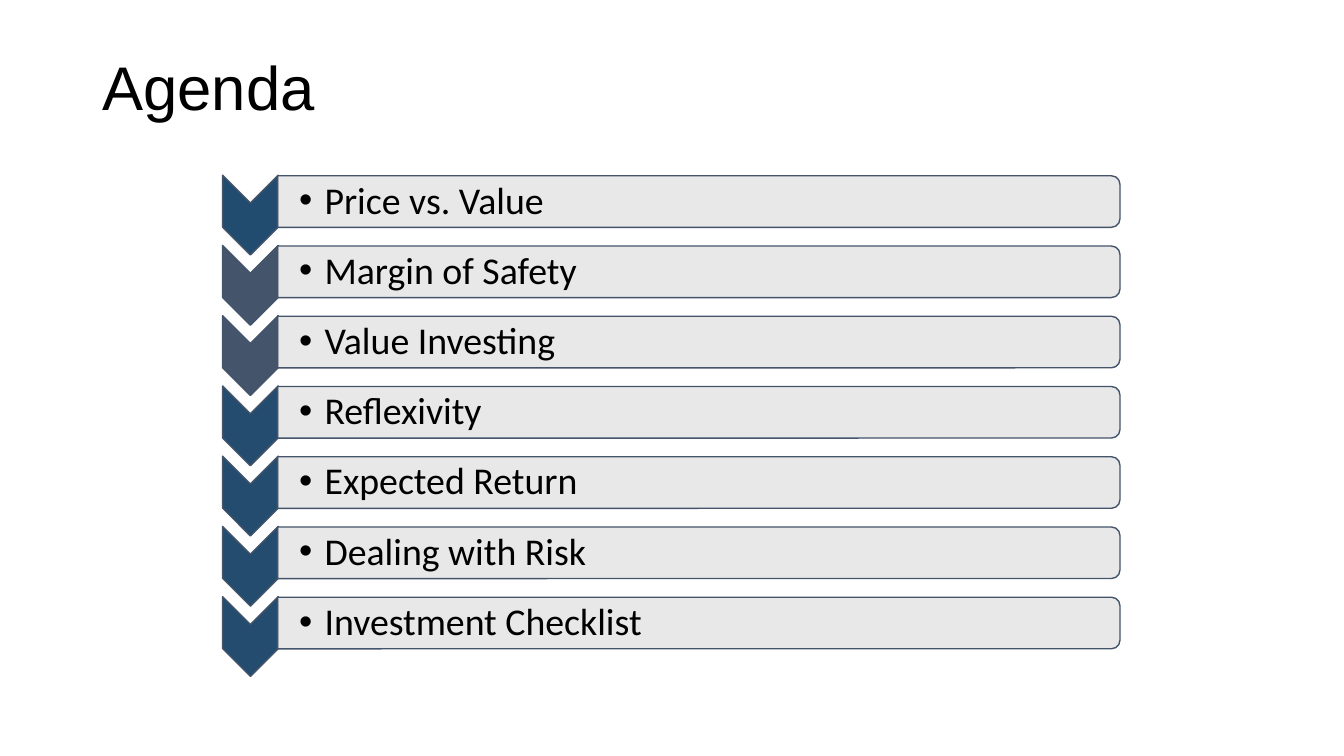
import pptx
import pptx.util
import pptx.dml.color
import pptx.enum.shapes
import pptx.enum.text
import pptx.oxml.ns
from lxml import etree

Cm, Pt = pptx.util.Cm, pptx.util.Pt
RGBColor = pptx.dml.color.RGBColor
SHAPE = pptx.enum.shapes.MSO_SHAPE
qn = pptx.oxml.ns.qn

# Content
BLUE = RGBColor(0x24, 0x4C, 0x6F)
SLATE = RGBColor(0x44, 0x54, 0x6A)
GREY = RGBColor(0xE7, 0xE6, 0xE6)
BLACK = RGBColor(0, 0, 0)

TITLE = "Agenda"
TOPICS = [
    ("Price vs. Value", RGBColor(0x22, 0x4C, 0x6F)),
    ("Margin of Safety", SLATE),
    ("Value Investing", SLATE),
    ("Reflexivity", BLUE),
    ("Expected Return", BLUE),
    ("Dealing with Risk", BLUE),
    ("Investment Checklist", BLUE),
]

# Layout in centimetres
ROW_PITCH = 1.77
BAR_CENTER = (17.61, 5.08)
BAR_SIZE = (1.3, 21.23)
CHEVRON_CENTER = (6.31, 5.42)
CHEVRON_SIZE = (2.01, 1.4)
LABEL_BOX = (7.01, 4.5, 21.16, 1.17)
TITLE_BOX = (2.33, 1.01, 29.21, 2.55)


def add_turned_shape(page, kind, center, size, drop, adjustments, fill):
    """Place a shape by its centre and turn it a quarter clockwise."""
    left = center[0] - size[0] / 2
    top = center[1] + drop - size[1] / 2
    shape = page.shapes.add_shape(kind, Cm(left), Cm(top), Cm(size[0]), Cm(size[1]))
    shape.rotation = 90
    for index, value in enumerate(adjustments):
        shape.adjustments[index] = value
    shape.shadow.inherit = False
    shape.fill.solid()
    shape.fill.fore_color.rgb = fill
    shape.line.color.rgb = SLATE
    shape.line.width = Pt(1)
    return shape


def add_text(page, area, insets, text, font_name, size, bullet=False):
    box = page.shapes.add_textbox(*[Cm(length) for length in area])
    frame = box.text_frame
    frame.word_wrap = True
    frame.vertical_anchor = pptx.enum.text.MSO_ANCHOR.MIDDLE
    frame.margin_left, frame.margin_top, frame.margin_right, frame.margin_bottom = [
        Cm(inset) for inset in insets]
    para = frame.paragraphs[0]
    para.text = text
    para.line_spacing = 0.9
    if bullet:
        add_bullet(para)
    para.font.name = font_name
    para.font.size = Pt(size)
    para.font.color.rgb = BLACK


def add_bullet(para):
    props = para._p.get_or_add_pPr()
    props.set("marL", str(Cm(0.64)))
    props.set("indent", str(Cm(-0.64)))
    color = etree.SubElement(props, qn("a:buClr"))
    etree.SubElement(color, qn("a:srgbClr"), val=str(BLACK))
    etree.SubElement(props, qn("a:buFont"), typeface="Arial")
    etree.SubElement(props, qn("a:buChar"), char="•")


def set_opacity(shape, percent):
    color = shape._element.spPr.find(qn("a:solidFill")).find(qn("a:srgbClr"))
    etree.SubElement(color, qn("a:alpha"), val=str(percent * 1000))


deck = pptx.Presentation()
deck.slide_width, deck.slide_height = Cm(33.87), Cm(19.05)
page = deck.slides.add_slide(deck.slide_layouts[6])

# Agenda rows: chevron, bar and label
for row, (topic, color) in enumerate(TOPICS):
    drop = row * ROW_PITCH
    add_turned_shape(page, SHAPE.CHEVRON, CHEVRON_CENTER, CHEVRON_SIZE, drop, [0.5], color)
    bar = add_turned_shape(page, SHAPE.ROUND_2_SAME_RECTANGLE, BAR_CENTER, BAR_SIZE,
                           drop, [0.167, 0], GREY)
    set_opacity(bar, 90)
    left, top, width, height = LABEL_BOX
    add_text(page, (left, top + drop, width, height), (0.53, 0.05, 0.05, 0.05),
             topic, "Calibri", 27, bullet=True)

# Title
add_text(page, TITLE_BOX, (0.25, 0.13, 0.25, 0.13), TITLE, "Arial", 44)

deck.save("out.pptx")
